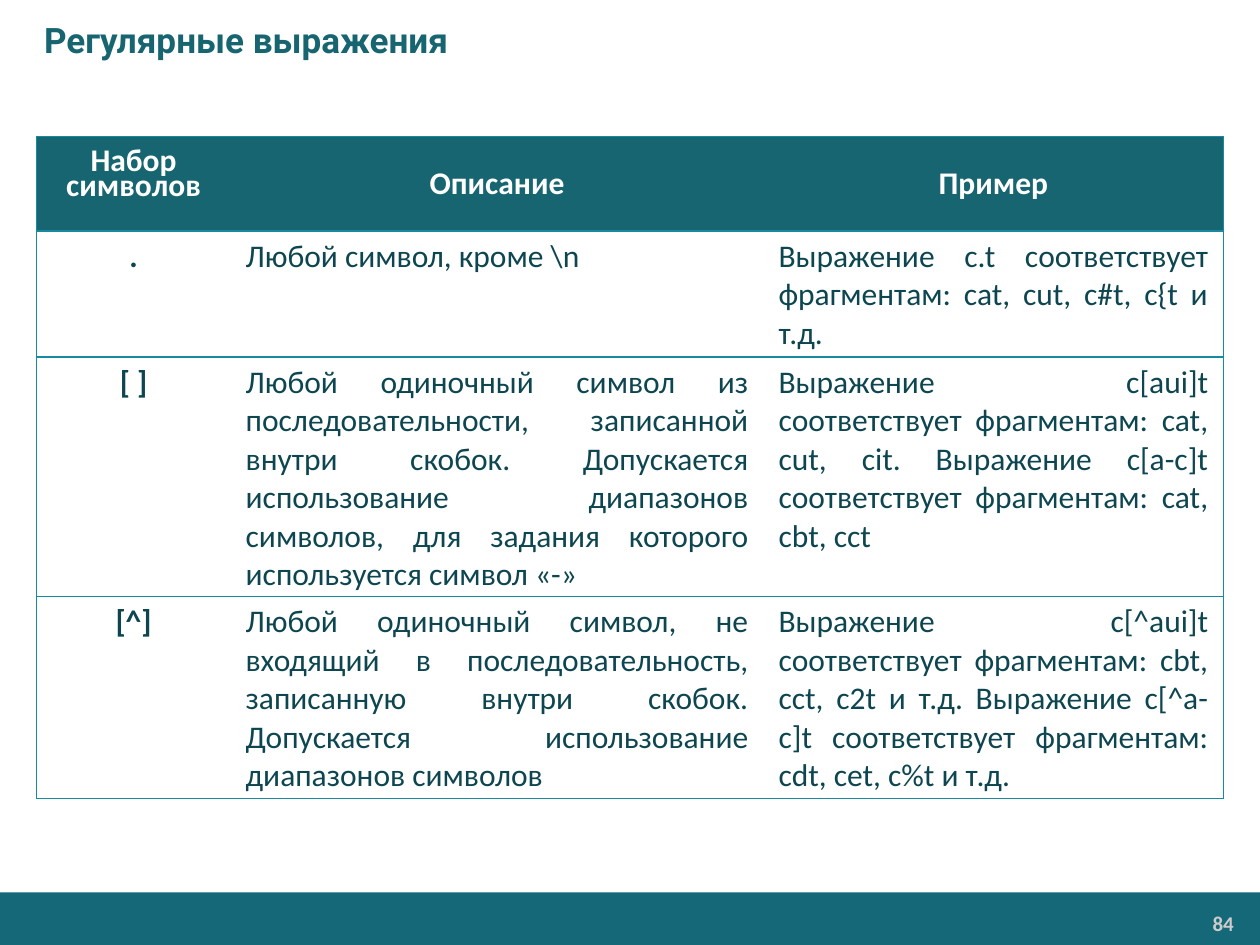
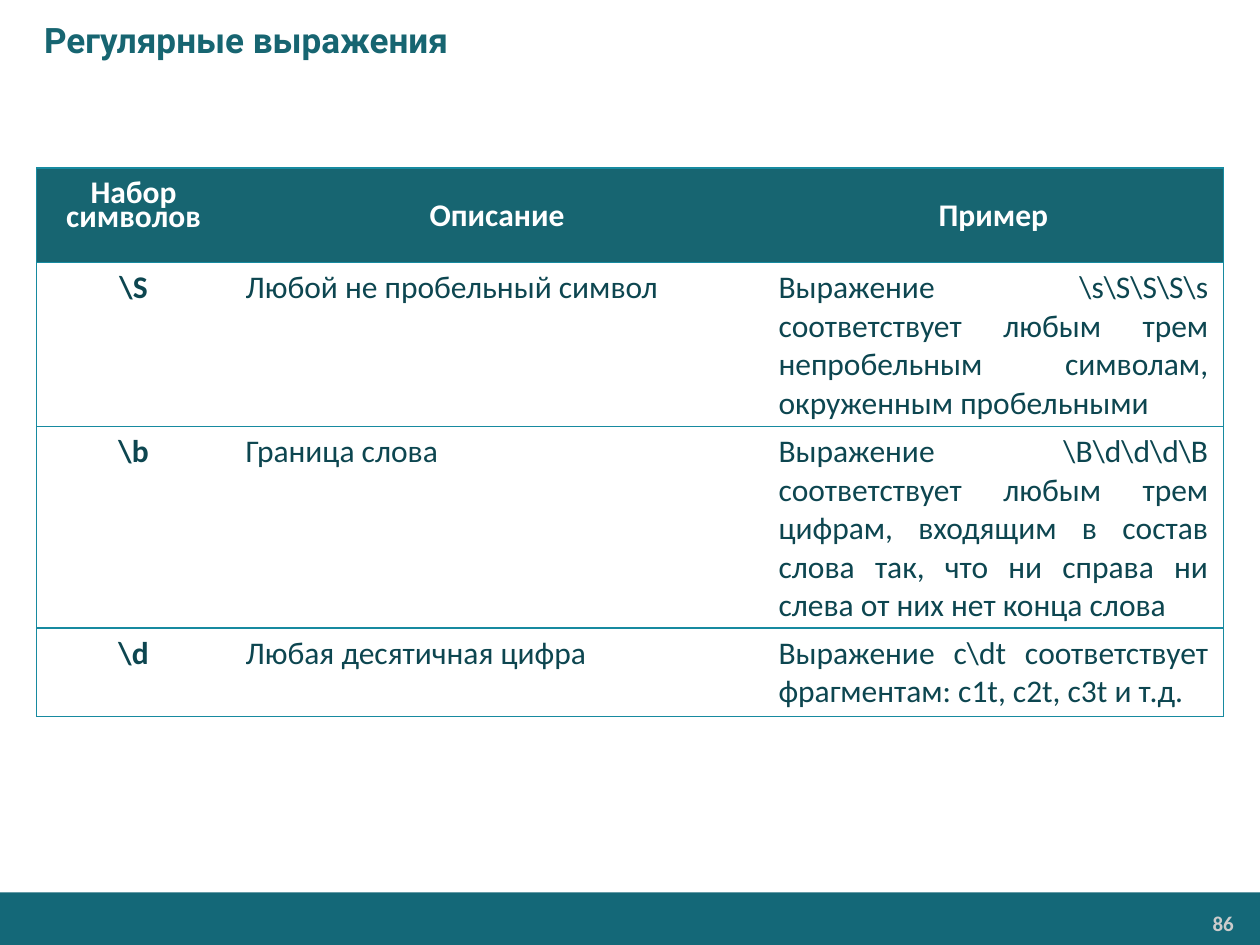
from lxml import etree
from pptx import Presentation
from pptx.dml.color import RGBColor
from pptx.enum.shapes import MSO_SHAPE
from pptx.enum.text import MSO_ANCHOR, PP_ALIGN
from pptx.oxml.ns import qn
from pptx.util import Pt

RECT = MSO_SHAPE.RECTANGLE
TOP, MIDDLE = MSO_ANCHOR.TOP, MSO_ANCHOR.MIDDLE
LEFT, CENTER, RIGHT, JUST = PP_ALIGN.LEFT, PP_ALIGN.CENTER, PP_ALIGN.RIGHT, PP_ALIGN.JUSTIFY

WIDE, HIGH = 720, 540
BAND, HEAD, INK, LINE = "146878", "176571", "0D4650", "178AA0"
WHITE, PALE = "FFFFFF", "CCCCCC"
TITLE = "Регулярные выражения"
HEADS = ["Набор\nсимволов", "Описание", "Пример"]
COLS = [110.9, 304.5, 262.8]
ROWS = [54, 29.5, 29.5, 29.5]
INSET = (8.64, 3.6)

PAGES = [
    (84, 78, 378, [
        (".", r"Любой символ, кроме \n",
         "Выражение c.t соответствует фрагментам: cat, cut, c#t, c{t и т.д."),
        ("[ ]", "Любой одиночный символ из последовательности, записанной внутри "
                "скобок. Допускается использование диапазонов символов, для задания "
                "которого используется символ «-»",
         "Выражение c[aui]t соответствует фрагментам: cat, cut, cit. "
         "Выражение c[a-c]t соответствует фрагментам: cat, cbt, cct"),
        ("[^]", "Любой одиночный символ, не входящий в последовательность, записанную "
                "внутри скобок. Допускается использование диапазонов символов",
         "Выражение c[^aui]t соответствует фрагментам: cbt, cct, c2t и т.д. "
         "Выражение c[^a-c]t соответствует фрагментам: cdt, cet, c%t и т.д."),
    ]),
    (86, 96, 313, [
        (r"\S", "Любой не пробельный символ",
         r"Выражение \s\S\S\S\s соответствует любым трем непробельным символам, "
         "окруженным пробельными"),
        (r"\b", "Граница слова",
         r"Выражение \B\d\d\d\B соответствует любым трем цифрам, входящим в состав "
         "слова так, что ни справа ни слева от них нет конца слова"),
        (r"\d", "Любая десятичная цифра",
         r"Выражение c\dt соответствует фрагментам: c1t, c2t, c3t и т.д."),
    ]),
]


def tint(code):
    """Turn a hex string into a colour."""
    return RGBColor.from_string(code)


def write(frame, text, size=18, font="Calibri", color=INK, bold=False,
          align=LEFT, pitch=None, gap=0):
    """Fill a text frame, one paragraph per line of text."""
    frame.word_wrap = True
    for i, line in enumerate(text.split("\n")):
        para = frame.add_paragraph() if i else frame.paragraphs[0]
        para.alignment = align
        if pitch:
            para.line_spacing = Pt(pitch)
            para.space_after = Pt(gap)
        if i and gap:
            para.space_before = Pt(gap)
        run = para.add_run()
        run.text = line
        run.font.size, run.font.name, run.font.bold = Pt(size), font, bold
        run.font.color.rgb = tint(color)


def inset(part, side, edge):
    """Set equal side margins and equal top and bottom margins."""
    part.margin_left = part.margin_right = Pt(side)
    part.margin_top = part.margin_bottom = Pt(edge)


def label(slide, text, x, y, w, h, pad=(7.2, 3.6), left=0, anchor=TOP, **style):
    """Add a text box with an optional extra left margin."""
    frame = slide.shapes.add_textbox(Pt(x), Pt(y), Pt(w), Pt(h)).text_frame
    inset(frame, *pad)
    frame.margin_left = Pt(pad[0] + left)
    frame.vertical_anchor = anchor
    write(frame, text, **style)


def edge(cell, sides):
    """Draw the named cell borders and clear the others."""
    props = cell._tc.get_or_add_tcPr()
    for i, side in enumerate("LRTB"):
        line = etree.Element(qn(f"a:ln{side}"), w=str(Pt(0.75)))
        if side in sides:
            fill = etree.SubElement(line, qn("a:solidFill"))
            etree.SubElement(fill, qn("a:srgbClr"), val=LINE)
        else:
            etree.SubElement(line, qn("a:noFill"))
        props.insert(i, line)


def fill_cell(cell, text, row, col):
    """Format one table cell by its row and column."""
    head = row == 0
    cell.fill.solid()
    cell.fill.fore_color.rgb = tint(HEAD if head else WHITE)
    cell.vertical_anchor = MIDDLE if head else TOP
    stack = "\n" in text
    inset(cell, *((6.5, 0) if stack else INSET))
    write(cell.text_frame, text, color=WHITE if head else INK,
          bold=head or col == 0, align=CENTER if head or col == 0 else JUST,
          pitch=10 if stack else None, gap=2 if stack else 0)
    edge(cell, "TB" + ("L", "", "R")[col])


def grid(slide, top, high, rows):
    """Add the table of character sets."""
    data = [HEADS, *rows]
    frame = slide.shapes.add_table(len(data), len(COLS), Pt(20.9), Pt(top),
                                   Pt(sum(COLS)), Pt(high))
    table = frame.table
    for col, wide in zip(table.columns, COLS):
        col.width = Pt(wide)
    for row, tall in zip(table.rows, ROWS):
        row.height = Pt(tall)
    frame.height = Pt(high)
    for r, line in enumerate(data):
        for c, text in enumerate(line):
            fill_cell(table.cell(r, c), text, r, c)


def base(slide, num):
    """Add the footer band, page number and title."""
    band = slide.shapes.add_shape(RECT, Pt(0), Pt(510), Pt(WIDE), Pt(30))
    band.shadow.inherit = False
    band.fill.solid()
    band.fill.fore_color.rgb = tint(BAND)
    band.line.fill.background()
    label(slide, str(num), 592.5, 517.5, 117.5, 20, pad=(5, 2.9),
          size=12, color=PALE, bold=True, align=RIGHT)
    label(slide, TITLE, 0, 0, WIDE, 45.4, left=18, anchor=MIDDLE,
          size=20, font="Roboto", color=HEAD, bold=True)


def main():
    """Build and save both slides."""
    deck = Presentation()
    deck.slide_width, deck.slide_height = Pt(WIDE), Pt(HIGH)
    for num, top, high, rows in PAGES:
        slide = deck.slides.add_slide(deck.slide_layouts[6])
        base(slide, num)
        grid(slide, top, high, rows)
    deck.save("out.pptx")


if __name__ == "__main__":
    main()
